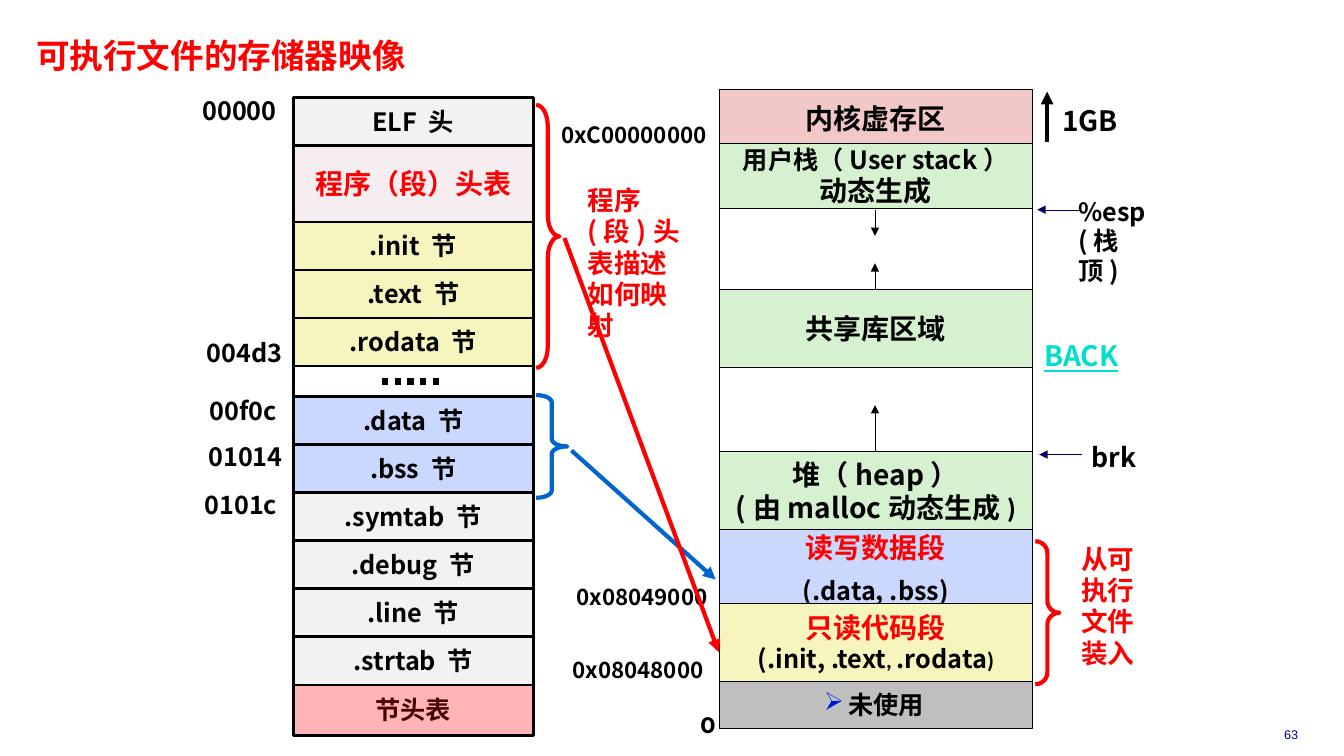
from lxml import etree
from pptx import Presentation
from pptx.dml.color import RGBColor
from pptx.enum.dml import MSO_LINE
from pptx.enum.shapes import MSO_CONNECTOR, MSO_SHAPE
from pptx.enum.text import MSO_ANCHOR as ANCHOR, PP_ALIGN as ALIGN
from pptx.oxml.ns import qn
from pptx.util import Pt

CJK, CALIBRI = "Noto Sans CJK SC", "Calibri"
BLACK, RED, BLUE, NAVY, WHITE = "000000", "FF0000", "0066CC", "000066", "FFFFFF"
GREY, YELLOW, PERIWINKLE, GREEN = "F2F2F2", "F6F5BD", "CAD7FE", "D5F1CF"
LINE_RATIO = 1.18  # line pitch as a share of the text size

# ELF file, top to bottom: text, fill, height, size, text colour
FILE_LEFT, FILE_TOP, FILE_WIDTH, ROW = 209.5, 69.8, 171.4, 34.3
file_rows = [
    ("ELF 头", GREY, ROW, 18, BLACK),
    ("程序（段）头表", "F6EDF1", 54.5, 20, RED),
    (".init 节", YELLOW, ROW, 18, BLACK),
    (".text 节", YELLOW, ROW, 18, BLACK),
    (".rodata 节", YELLOW, ROW, 18, BLACK),
    ("", WHITE, 22, 18, BLACK),
    (".data 节", PERIWINKLE, ROW, 18, BLACK),
    (".bss 节", PERIWINKLE, ROW, 18, BLACK),
    (".symtab 节", GREY, ROW, 18, BLACK),
    (".debug 节", GREY, ROW, 18, BLACK),
    (".line 节", GREY, ROW, 18, BLACK),
    (".strtab 节", GREY, ROW, 18, BLACK),
    ("节头表", "FFB5B5", 36, 18, "4A0000"),
]

# Process memory: top, height, fill, lines of (text, size, colour, font) runs
MEM_LEFT, MEM_WIDTH = 514, 223.2
memory_areas = [
    (149, 57.5, WHITE, []),
    (64, 41, "F1C7C7", [[("内核虚存区", 20, BLACK, CJK)]]),
    (206.5, 56, GREEN, [[("共享库区域", 20, BLACK, CJK)]]),
    (262, 60.5, WHITE, []),
    (322.5, 56, GREEN, [[("堆（heap）", 20, BLACK, CJK)],
                        [("(由malloc动态生成", 20, BLACK, CJK), (")", 20, BLACK, CALIBRI)]]),
    (102.2, 46.8, GREEN, [[("用户栈（User stack）", 18, BLACK, CJK)],
                          [("动态生成", 20, BLACK, CALIBRI)]]),
    (486.7, 33.3, "BFBFBF", [[("未使用", 18, BLACK, CJK)]]),
    (378, 56, PERIWINKLE, [[("读写数据段", 20, RED, CJK)],
                           [("(.data, .bss)", 18, BLACK, CJK)]]),
    (430.7, 56, YELLOW, [[("只读代码段", 20, RED, CJK)],
                         [("(.init, .text", 18, BLACK, CJK), (", ", 16, BLACK, CALIBRI),
                          (".rodata", 18, BLACK, CJK), (")", 16, BLACK, CALIBRI)]]),
]

# left, top, width, height, lines, size, colour, font
labels = [
    (18.7, 22, 686, 30, ["可执行文件的存储器映像"], 24, RED, CJK),
    (137.5, 65, 75.6, 29, ["00000"], 18, BLACK, CJK),
    (140.4, 237.6, 73.4, 29, ["004d3"], 18, BLACK, CJK),
    (142.6, 279.4, 73.4, 29, ["00f0c"], 18, BLACK, CJK),
    (141.8, 311.8, 73.4, 29, ["01014"], 18, BLACK, CJK),
    (139, 346.3, 73.4, 29, ["0101c"], 18, BLACK, CJK),
    (393.8, 83.5, 124.6, 26, ["0xC00000000"], 16, BLACK, CJK),
    (404.6, 413.3, 113.8, 26, ["0x08049000"], 16, BLACK, CJK),
    (401.8, 465.8, 113.8, 26, ["0x08048000"], 16, BLACK, CJK),
    (493.2, 504.7, 25.2, 26.6, ["0"], 16, BLACK, "Montserrat"),
    (763.2, 136.8, 64.4, 49, ["%esp", "(栈顶)"], 18, BLACK, CJK),
    (772.6, 311.8, 56, 29, ["brk"], 19, BLACK, CJK),
    (751.7, 70.6, 66.2, 31, ["1GB"], 20, BLACK, CJK),
    (765.4, 384.5, 59, 98, ["从可执行文件装入"], 19, RED, CALIBRI),
    (412.6, 128.2, 83, 120, ["程序(段)头表描述如何映射"], 19, RED, CJK),
]

# left, top, width, height, adjustment, colour
braces = [
    (739.5, 386.6, 17.3, 102.2, 0.486, RED),
    (383, 282.2, 22.3, 73.4, 0.235, BLUE),
    (383, 74.9, 16.6, 187.9, 0.913, RED),
]

# x1, y1, x2, y2, colour, width
MEM_MID = 625
arrows = [
    (771, 149.8, 741, 149.8, NAVY, 0.25),
    (748, 101.5, 748, 65.5, BLACK, 3),
    (772.6, 324.7, 742.3, 324.7, NAVY, 0.25),
    (MEM_MID, 322, MEM_MID, 289.4, BLACK, 0.25),
    (MEM_MID, 207, MEM_MID, 188, BLACK, 0.25),
    (MEM_MID, 149.8, MEM_MID, 168.5, BLACK, 0.25),
    (408.2, 321.8, 511.2, 414, BLUE, 3),
    (403.2, 170, 513.4, 465.8, RED, 3),
]


def rgb(value):
    return RGBColor.from_string(value)


def write(shape, lines, align=ALIGN.LEFT, anchor=ANCHOR.TOP, bold=True, inset=7.2):
    """Fill a shape with lines, each a list of (text, size, colour, font) runs."""
    tf = shape.text_frame
    frame = dict(word_wrap=True, vertical_anchor=anchor, margin_left=Pt(inset),
                 margin_right=Pt(inset), margin_top=Pt(3.6), margin_bottom=Pt(3.6))
    for name, value in frame.items():
        setattr(tf, name, value)
    for i, runs in enumerate(lines):
        p = tf.add_paragraph() if i else tf.paragraphs[0]
        p.alignment = align
        p.line_spacing = Pt(round(LINE_RATIO * max(run[1] for run in runs), 1))
        for text, size, colour, font in runs:
            r = p.add_run()
            r.text = text
            for name, value in dict(name=font, size=Pt(size), bold=bold).items():
                setattr(r.font, name, value)
            r.font.color.rgb = rgb(colour)
            ea = etree.SubElement(r.font._element, qn("a:ea"))
            ea.set("typeface", CJK)
    return tf


def add_box(left, top, width, height, fill, line_width, lines):
    box = s.shapes.add_shape(MSO_SHAPE.RECTANGLE, Pt(left), Pt(top), Pt(width), Pt(height))
    box.shadow.inherit = False
    box.fill.solid()
    box.fill.fore_color.rgb = rgb(fill)
    box.line.color.rgb = rgb(BLACK)
    box.line.width = Pt(line_width)
    return write(box, lines, ALIGN.CENTER, ANCHOR.MIDDLE)


def add_label(left, top, width, height, lines, size, colour, font, **layout):
    box = s.shapes.add_textbox(Pt(left), Pt(top), Pt(width), Pt(height))
    return write(box, [[(line, size, colour, font)] for line in lines], **layout)


def add_line(x1, y1, x2, y2, colour, width):
    c = s.shapes.add_connector(MSO_CONNECTOR.STRAIGHT, Pt(x1), Pt(y1), Pt(x2), Pt(y2))
    c.line.color.rgb = rgb(colour)
    c.line.width = Pt(width)
    etree.SubElement(c._element.spPr, qn("a:effectLst"))
    return c.line


prs = Presentation()
prs.slide_width, prs.slide_height = Pt(960), Pt(540)
s = prs.slides.add_slide(prs.slide_layouts[6])

for top, height, fill, lines in memory_areas:
    tf = add_box(MEM_LEFT, top, MEM_WIDTH, height, fill, 0.25, lines)
    if tf.text.startswith("未使用"):
        pPr = tf.paragraphs[0]._p.get_or_add_pPr()
        colour = etree.SubElement(etree.SubElement(pPr, qn("a:buClr")), qn("a:srgbClr"))
        colour.set("val", "001ADC")
        etree.SubElement(pPr, qn("a:buChar")).set("char", "➢")
    elif tf.text.startswith("读写"):
        tf.paragraphs[1].space_before = Pt(8)

for label in labels:
    add_label(*label)
back = add_label(738.7, 239, 74.2, 31, ["BACK"], 20, "00DFCA", CJK)
back.paragraphs[0].runs[0].font.underline = True
add_label(888.5, 516.2, 67.7, 18, ["63"], 9, "000099", "Arial", align=ALIGN.CENTER, bold=False)

top = FILE_TOP
for text, fill, height, size, colour in file_rows:
    add_box(FILE_LEFT, top, FILE_WIDTH, height, fill, 2,
            [[(text, size, colour, CJK)]] if text else [])
    if not text:
        middle = top + height / 2
        add_line(273, middle, 316, middle, BLACK, 4.5).dash_style = MSO_LINE.ROUND_DOT
    top += height

for left, top, width, height, bend, colour in braces:
    brace = s.shapes.add_shape(MSO_SHAPE.RIGHT_BRACE, Pt(left), Pt(top), Pt(width), Pt(height))
    brace.shadow.inherit = False
    brace.adjustments[0] = bend
    brace.fill.background()
    brace.line.color.rgb = rgb(colour)
    brace.line.width = Pt(3)

for arrow in arrows:
    ln = add_line(*arrow)._get_or_add_ln()
    etree.SubElement(ln, qn("a:tailEnd")).set("type", "triangle")

prs.save("out.pptx")
